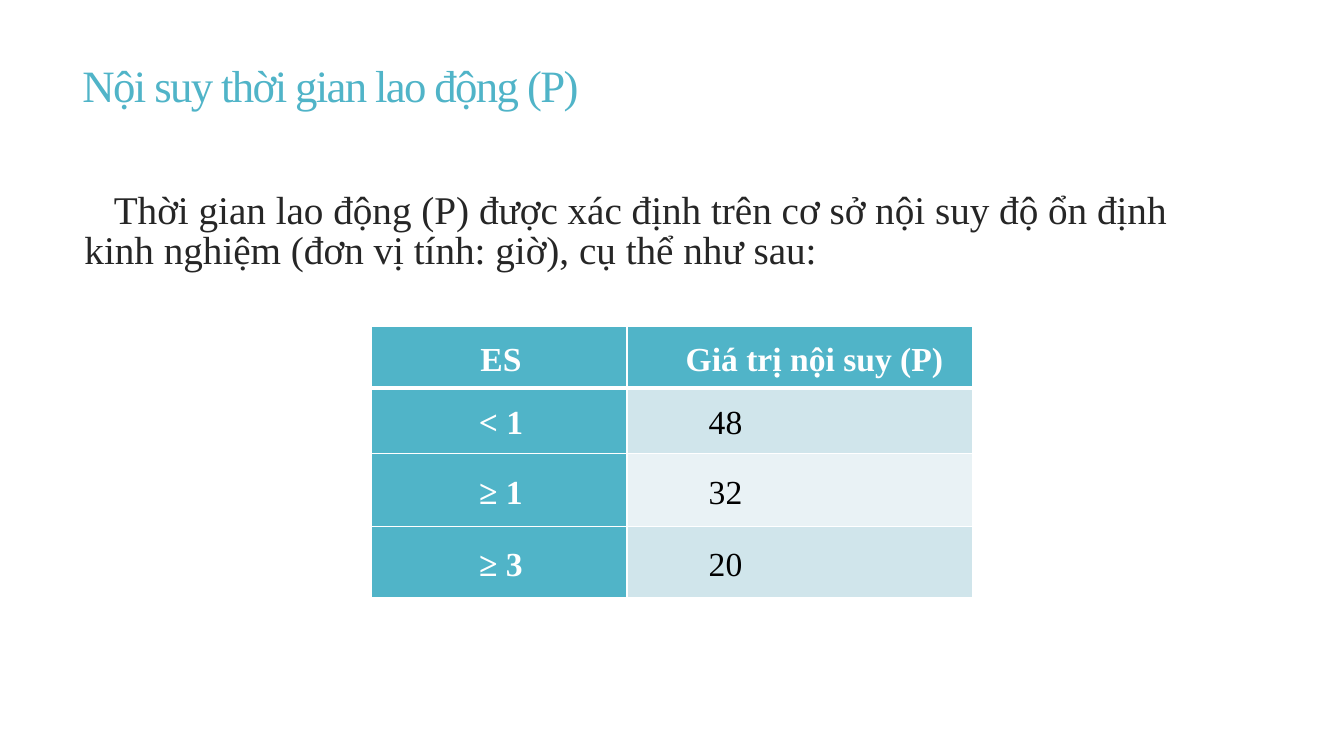
from lxml import etree
from pptx import Presentation
from pptx.dml.color import RGBColor
from pptx.enum.text import MSO_ANCHOR, PP_ALIGN
from pptx.oxml.ns import qn
from pptx.util import Cm, Pt

LEFT, CENTER = PP_ALIGN.LEFT, PP_ALIGN.CENTER
TOP, MIDDLE = MSO_ANCHOR.TOP, MSO_ANCHOR.MIDDLE

# Content
TITLE = "Nội suy thời gian lao động (P)"
INTRO = ("Thời gian lao động (P) được xác định trên cơ sở nội suy độ ổn định "
         "kinh nghiệm (đơn vị tính: giờ), cụ thể như sau:")
VALUES = [
    ("ES", "Giá trị nội suy (P)"),
    ("< 1", "48"),
    ("≥ 1", "32"),
    ("≥ 3", "20"),
]

# Look
FONT = "Times New Roman"
TEAL, INK, WHITE, BLACK = "50B4C8", "262626", "FFFFFF", "000000"
BANDS = ("D0E5EB", "E9F2F5")
COLUMN_WIDTHS = (6.43, 8.71)
ROW_HEIGHTS = (1.55, 1.65, 1.83, 1.8)


def rgb(color):
    return RGBColor.from_string(color)


def write(paragraph, text, size, color, line_spacing, bold=False):
    paragraph.text = text
    paragraph.line_spacing = line_spacing
    font = paragraph.font
    font.name, font.size, font.bold = FONT, Pt(size), bold
    font.color.rgb = rgb(color)


def indent(paragraph, margin=0.0, first_line=0.0):
    properties = paragraph._p.get_or_add_pPr()
    properties.set("marL", str(Cm(margin)))
    properties.set("indent", str(Cm(first_line)))


def add_text(slide, place, text, size, color, anchor):
    box = slide.shapes.add_textbox(*(Cm(length) for length in place))
    frame = box.text_frame
    frame.word_wrap = True
    frame.vertical_anchor = anchor
    write(frame.paragraphs[0], text, size, color, 0.85)
    return frame.paragraphs[0]


def add_borders(cell, widths):
    properties = cell._tc.get_or_add_tcPr()
    for side, width in zip("LRTB", widths):
        line = etree.SubElement(properties, qn(f"a:ln{side}"), w=str(Pt(width)))
        fill = etree.SubElement(line, qn("a:solidFill"))
        etree.SubElement(fill, qn("a:srgbClr"), val=WHITE)


def fill_cell(cell, text, row, column):
    is_head = row == 0 or column == 0
    cell.margin_left = cell.margin_right = cell.margin_top = cell.margin_bottom = 0
    cell.vertical_anchor = MIDDLE
    add_borders(cell, (1, 1, 3 if row == 1 else 1, 3 if row == 0 else 1))
    cell.fill.solid()
    cell.fill.fore_color.rgb = rgb(TEAL if is_head else BANDS[(row - 1) % 2])
    paragraph = cell.text_frame.paragraphs[0]
    write(paragraph, text, 24, WHITE if is_head else BLACK, 1.15, is_head)
    paragraph.alignment = CENTER if is_head else LEFT
    paragraph.space_before = paragraph.space_after = Pt(6)
    if column == 0:
        indent(paragraph, 0.08)
    else:
        indent(paragraph, 0.74 if is_head else 2.06)


def main():
    deck = Presentation()
    deck.slide_width, deck.slide_height = Cm(33.87), Cm(19.05)
    slide = deck.slides.add_slide(deck.slide_layouts[6])

    # Title and introduction
    title = add_text(slide, (1.83, 1.02, 29.92, 2.46), TITLE, 32, TEAL, MIDDLE)
    title.runs[0]._r.get_or_add_rPr().set("spc", "-120")
    intro = add_text(slide, (1.88, 4.72, 29.7, 2.4), INTRO, 28, INK, TOP)
    indent(intro, first_line=0.74)

    # Table of interpolated values
    table = slide.shapes.add_table(
        len(VALUES), len(COLUMN_WIDTHS), Cm(9.37), Cm(8.23),
        Cm(sum(COLUMN_WIDTHS)), Cm(sum(ROW_HEIGHTS))).table
    for column, width in zip(table.columns, COLUMN_WIDTHS):
        column.width = Cm(width)
    for row, height in zip(table.rows, ROW_HEIGHTS):
        row.height = Cm(height)
    for row, texts in enumerate(VALUES):
        for column, text in enumerate(texts):
            fill_cell(table.cell(row, column), text, row, column)

    deck.save("out.pptx")


if __name__ == "__main__":
    main()
